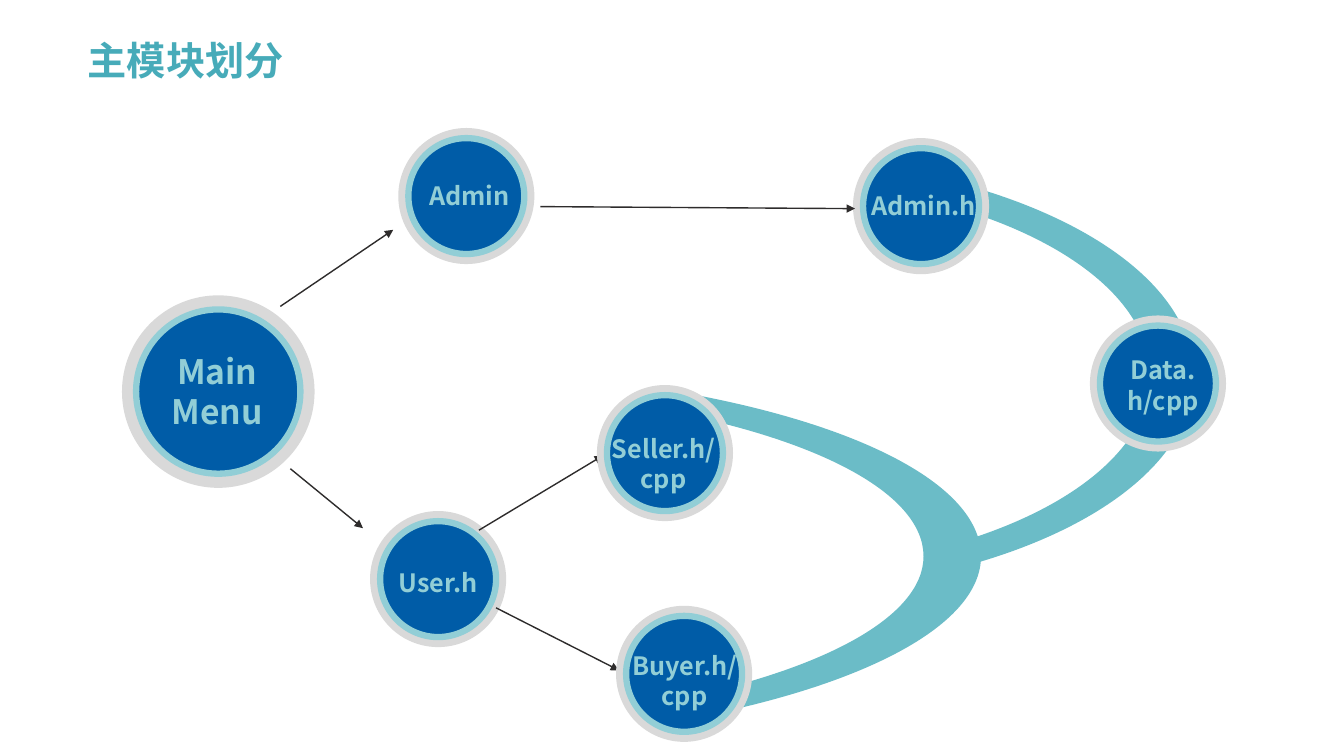
from lxml.etree import SubElement
from pptx import Presentation
from pptx.dml.color import RGBColor
from pptx.enum.shapes import MSO_CONNECTOR, MSO_SHAPE
from pptx.enum.text import MSO_ANCHOR, MSO_AUTO_SIZE, PP_ALIGN
from pptx.oxml.ns import qn
from pptx.util import Inches, Pt

COLORS = {
    "title": "47ABB9",
    "band": "6BBCC7",
    "arrow": "2E2C2C",
    "rim": "D9D9D9",
    "core": "005CA7",
    "light": "92CED6",
    "panel": "FFFFFF",
}
FONT = "Noto Sans CJK SC"
CURVES = (0, 3, 7, 10)


def paint(fmt, name):
    fmt.solid()
    fmt.fore_color.rgb = RGBColor.from_string(COLORS[name])


def add_run(para, text, size, color, font=FONT):
    run = para.add_run()
    run.text = text
    run.font.name = font
    run.font.size = Pt(size)
    run.font.bold = True
    run.font.color.rgb = RGBColor.from_string(COLORS[color])
    SubElement(run.font._element, qn("a:ea")).set("typeface", FONT)


def add_panel(slide):
    panel = slide.shapes.add_shape(
        MSO_SHAPE.RECTANGLE, 0, Inches(0.98), Inches(13.33), Inches(6.52))
    panel.shadow.inherit = False
    paint(panel.fill, "panel")
    panel.line.fill.background()
    shade = next(panel._element.spPr.iter(qn("a:srgbClr")))
    SubElement(shade, qn("a:alpha")).set("val", "85000")
    slide.slide_layout.shapes._spTree.append(panel._element)


def add_title(slide, text):
    title = slide.shapes.title
    title.left, title.top = Inches(0.77), Inches(0.3)
    title.width, title.height = Inches(11.5), Inches(0.64)
    frame = title.text_frame
    frame.vertical_anchor = MSO_ANCHOR.MIDDLE
    para = frame.paragraphs[0]
    para.alignment = PP_ALIGN.LEFT
    para.line_spacing = 0.9
    add_run(para, text, 28, "title", "Montserrat")


def add_band(slide, inner, outer):
    spots = [(Inches(x), Inches(y)) for x, y in inner + outer]
    form = slide.shapes.build_freeform(*spots[0])
    form.add_line_segments(spots[1:], close=True)
    band = form.convert_to_shape()
    band.shadow.inherit = False
    paint(band.fill, "band")
    band.line.fill.background()
    lines = list(band._element.iter(qn("a:lnTo")))
    for first in CURVES:
        bend = lines[first]
        for line in lines[first + 1:first + 3]:
            bend.append(line[0])
            line.getparent().remove(line)
        bend.tag = qn("a:cubicBezTo")


def add_arrow(slide, start, end):
    ends = [Inches(value) for value in start + end]
    arrow = slide.shapes.add_connector(MSO_CONNECTOR.STRAIGHT, *ends)
    arrow.line.width = Pt(1)
    paint(arrow.line.fill, "arrow")
    line = arrow.line._get_or_add_ln()
    SubElement(line, qn("a:tailEnd")).set("type", "triangle")
    SubElement(arrow._element.spPr, qn("a:effectLst"))


def add_disc(group, left, top, size, color):
    disc = group.shapes.add_shape(
        MSO_SHAPE.OVAL, Inches(left), Inches(top), Inches(size), Inches(size))
    disc.shadow.inherit = False
    paint(disc.fill, color)
    disc.line.fill.background()
    return disc


def add_node(slide, left, top, lines, box, size=1.35, gap=0.1, points=18):
    group = slide.shapes.add_group_shape()
    add_disc(group, left, top, size, "rim")
    core = add_disc(group, left + gap, top + gap, size - 2 * gap, "core")
    paint(core.line.fill, "light")
    core.line.width = Pt(4.5)
    label = group.shapes.add_textbox(*[Inches(value) for value in box])
    frame = label.text_frame
    frame.word_wrap = True
    frame.auto_size = MSO_AUTO_SIZE.SHAPE_TO_FIT_TEXT
    for index, text in enumerate(lines):
        para = frame.add_paragraph() if index else frame.paragraphs[0]
        para.alignment = PP_ALIGN.CENTER
        add_run(para, text, points, "light")


def main():
    deck = Presentation()
    deck.slide_width, deck.slide_height = Inches(13.33), Inches(7.5)
    slide = deck.slides.add_slide(deck.slide_layouts[5])

    add_panel(slide)
    add_band(
        slide,
        [(6.57, 4.07), (8.12, 4.36), (9.16, 4.9), (9.16, 5.52),
         (9.16, 6.12), (8.16, 6.65), (6.66, 6.95)],
        [(6.94, 7.11), (8.61, 6.78), (9.73, 6.19), (9.73, 5.52),
         (9.73, 4.83), (8.57, 4.23), (6.85, 3.91)])
    add_title(slide, "主模块划分")
    add_band(
        slide,
        [(9.41, 2.04), (10.61, 2.38), (11.41, 3.01), (11.41, 3.73),
         (11.41, 4.43), (10.64, 5.05), (9.48, 5.39)],
        [(9.7, 5.58), (10.99, 5.2), (11.84, 4.51), (11.84, 3.73),
         (11.84, 2.93), (10.95, 2.23), (9.63, 1.85)])

    add_arrow(slide, (2.78, 3.04), (3.9, 2.28))
    add_node(slide, 1.21, 2.93, ["Main", "Menu"], (1.54, 3.43, 1.23, 0.91),
             size=1.91, gap=0.14, points=24)
    add_arrow(slide, (2.88, 4.65), (3.6, 5.24))
    add_node(slide, 3.95, 1.27, ["Admin"], (4.11, 1.74, 1.09, 0.4))
    add_node(slide, 10.81, 3.13, ["Data.h/cpp"], (11.06, 3.47, 0.95, 0.71))
    add_node(slide, 3.67, 5.07, ["User.h"], (3.77, 5.58, 1.15, 0.4))
    add_arrow(slide, (4.92, 6.03), (6.14, 6.65))
    add_arrow(slide, (4.75, 5.26), (5.98, 4.52))
    add_node(slide, 5.92, 3.82, ["Seller.h/cpp"], (5.95, 4.25, 1.26, 0.71))
    add_node(slide, 8.46, 1.37, ["Admin.h"], (8.48, 1.84, 1.36, 0.4))
    add_node(slide, 6.11, 6.01, ["Buyer.h/cpp"], (6.13, 6.4, 1.32, 0.71))
    add_arrow(slide, (5.36, 2.05), (8.48, 2.07))

    deck.save("out.pptx")


if __name__ == "__main__":
    main()
